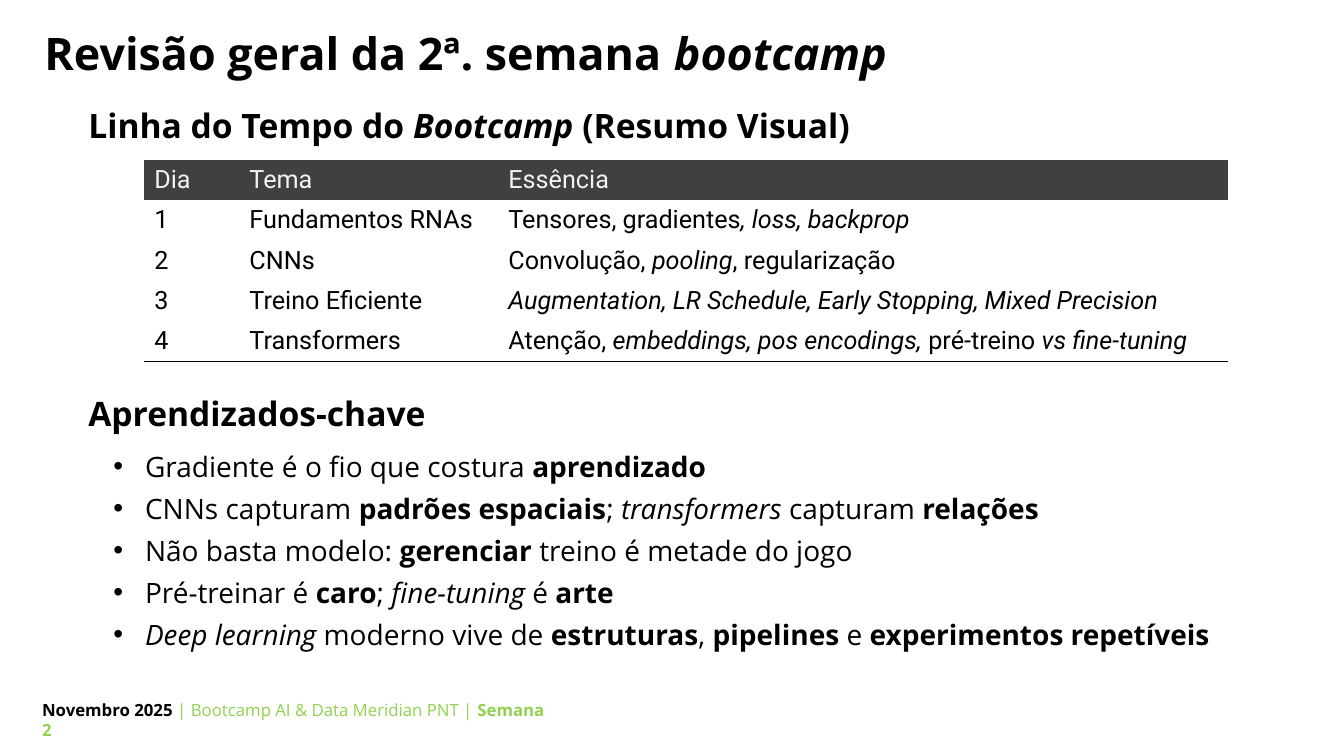
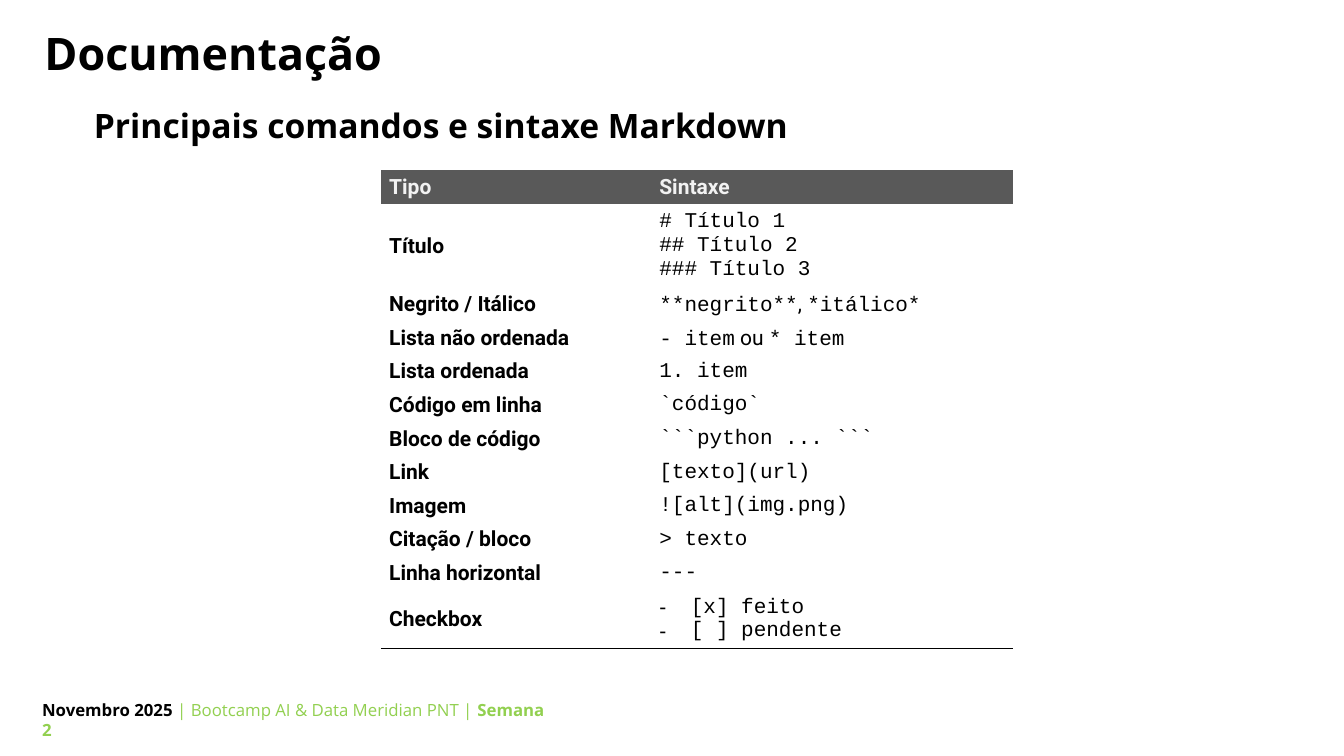
from lxml.etree import SubElement
from pptx import Presentation
from pptx.dml.color import RGBColor
from pptx.enum.text import MSO_ANCHOR, MSO_AUTO_SIZE, PP_ALIGN
from pptx.oxml import parse_xml
from pptx.oxml.ns import nsdecls, qn
from pptx.util import Pt

BLACK = RGBColor(0, 0, 0)
GREEN = RGBColor(0x92, 0xD0, 0x50)
LIGHT = RGBColor(0xF2, 0xF2, 0xF2)
DARK = RGBColor(0x40, 0x40, 0x40)
GREY = RGBColor(0x59, 0x59, 0x59)

SANS, GRID, MONO = "Open Sans", "Roboto", "Courier New"
PLAIN_TABLE = "{2D5ABB26-0587-4C30-8999-92F81FD0307C}"


# Inline styles: a piece of text with its kind
def bold(text):
    return text, "bold"


def ital(text):
    return text, "ital"


def mono(text):
    return text, "mono"


class Deck:
    def __init__(self):
        self.prs = Presentation()
        self.prs.slide_width, self.prs.slide_height = Pt(960), Pt(540)
        self.slide = None

    def put(self, frame, paras, size, font=SANS, color=BLACK, heavy=False):
        """Fill a frame; each paragraph is a list of strings or styled pieces."""
        for n, parts in enumerate(paras):
            para = frame.add_paragraph() if n else frame.paragraphs[0]
            para.alignment = PP_ALIGN.LEFT
            for part in parts:
                text, kind = (part, "") if isinstance(part, str) else part
                run = para.add_run()
                run.text = text
                run.font.name = MONO if kind == "mono" else font
                run.font.size = Pt(size)
                run.font.bold = heavy or kind == "bold"
                run.font.italic = kind == "ital"
                run.font.color.rgb = color

    def page(self, title):
        self.slide = self.prs.slides.add_slide(self.prs.slide_layouts[5])
        shape = self.slide.shapes.title
        shape.left, shape.top, shape.width, shape.height = Pt(24.5), Pt(14.4), Pt(914), Pt(46)
        frame = shape.text_frame
        frame.auto_size = MSO_AUTO_SIZE.NONE
        frame.vertical_anchor = MSO_ANCHOR.TOP
        self.put(frame, [title], 32, heavy=True)
        self.footer()

    def text(self, left, top, width, height, paras, size, heavy=False):
        box = self.slide.shapes.add_textbox(Pt(left), Pt(top), Pt(width), Pt(height))
        box.text_frame.word_wrap = True
        self.put(box.text_frame, paras, size, heavy=heavy)
        return box.text_frame

    def footer(self):
        frame = self.text(23, 496, 381, 36, [[
            bold("Novembro 2025 "), "| Bootcamp AI & Data Meridian PNT | ", bold("Semana 2")]], 12)
        for run in frame.paragraphs[0].runs[1:]:
            run.font.color.rgb = GREEN

    def head(self, left, top, parts):
        self.text(left, top, 900, 36, [parts], 24, heavy=True)

    def bullets(self, frame, mark, after=0):
        for para in frame.paragraphs:
            props = para._p.get_or_add_pPr()
            props.set("marL", str(Pt(22.5)))
            props.set("indent", str(Pt(-22.5)))
            SubElement(props, qn("a:buFont")).set("typeface", "Arial")
            SubElement(props, qn("a:buChar")).set("char", mark)
            para.space_after = Pt(after)

    def table(self, left, top, cols, heights, rows, size, fill, pad):
        """Place a table; each cell is a list of paragraphs."""
        table = self.slide.shapes.add_table(
            len(rows), len(cols), Pt(left), Pt(top), Pt(sum(cols)), Pt(sum(heights))).table
        table.horz_banding = False
        table._tbl.tblPr.find(qn("a:tableStyleId")).text = PLAIN_TABLE
        for col, width in zip(table.columns, cols):
            col.width = Pt(width)
        for r, row in enumerate(rows):
            table.rows[r].height = Pt(heights[r])
            for c, paras in enumerate(row):
                cell = table.cell(r, c)
                cell.vertical_anchor = MSO_ANCHOR.MIDDLE
                cell.margin_left = cell.margin_right = Pt(2 * pad)
                cell.margin_top = cell.margin_bottom = Pt(pad)
                if r == 0:
                    cell.fill.solid()
                    cell.fill.fore_color.rgb = fill
                else:
                    cell.fill.background()
                if r == len(rows) - 1:
                    self.rule(cell)
                self.put(cell.text_frame, paras, size, GRID, BLACK if r else LIGHT)
        return table

    def rule(self, cell):
        """Draw the bottom border of a cell."""
        cell._tc.get_or_add_tcPr().insert(0, parse_xml(
            f'<a:lnB {nsdecls("a")} w="{Pt(1)}"><a:solidFill>'
            f'<a:srgbClr val="{BLACK}"/></a:solidFill></a:lnB>'))


def review(deck):
    deck.page(["Revisão geral da 2ª. semana ", ital("bootcamp")])

    # Timeline table
    deck.head(56, 71.3, ["Linha do Tempo do ", ital("Bootcamp"), " (Resumo Visual)"])
    days = [
        ("Dia", "Tema", ["Essência"]),
        ("1", "Fundamentos RNAs", ["Tensores, gradientes", ital(", loss, backprop")]),
        ("2", "CNNs", ["Convolução, ", ital("pooling"), ", regularização"]),
        ("3", "Treino Eficiente",
         [ital("Augmentation, LR Schedule, Early Stopping, Mixed Precision")]),
        ("4", "Transformers", ["Atenção, ", ital("embeddings, pos encodings, "),
                               "pré-treino ", ital("vs fine-tuning")]),
    ]
    rows = [([[day]], [[theme]], [gist]) for day, theme, gist in days]
    deck.table(103, 114, [68, 185, 521], [28.8] * len(rows), rows, 18, DARK, 3.6)

    # Key lessons
    deck.head(56, 277, ["Aprendizados-chave"])
    frame = deck.text(74, 317.5, 880, 153, [
        ["Gradiente é o fio que costura ", bold("aprendizado")],
        ["CNNs capturam ", bold("padrões espaciais"), "; ", ital("transformers"),
         " capturam ", bold("relações")],
        ["Não basta modelo: ", bold("gerenciar"), " treino é metade do jogo"],
        ["Pré-treinar é ", bold("caro"), "; ", ital("fine-tuning"), " é ", bold("arte")],
        [ital("Deep learning"), " moderno vive de ", bold("estruturas"), ", ",
         bold("pipelines"), " e ", bold("experimentos repetíveis")],
    ], 20)
    deck.bullets(frame, "•", 6)


def syntax(deck):
    deck.page(["Documentação"])
    deck.head(60, 71.3, ["Principais comandos e sintaxe Markdown"])

    # Syntax table: a label and its lines
    kinds = [
        ("Tipo", [[bold("Sintaxe")]]),
        ("Título", [[mono("# Título 1")], [mono("## Título 2")], [mono("### Título 3")]]),
        ("Negrito / Itálico", [[mono("**negrito**"), ", ", mono("*itálico*")]]),
        ("Lista não ordenada", [[mono("- item"), " ou ", mono("* item")]]),
        ("Lista ordenada", [[mono("1. item")]]),
        ("Código em linha", [[mono("`código`")]]),
        ("Bloco de código", [[mono("```python ... ```")]]),
        ("Link", [[mono("[texto](url)")]]),
        ("Imagem", [[mono("![alt](img.png)")]]),
        ("Citação / bloco", [[mono("> texto")]]),
        ("Linha horizontal", [[mono("---")]]),
        ("Checkbox", [[mono("[x] feito")], [mono("[ ] pendente")]]),
    ]
    rows = [([[bold(label)]], lines) for label, lines in kinds]
    heights = [24 + 17.5 * (len(lines) - 1) for _, lines in kinds]
    table = deck.table(272, 121.7, [193, 258.5], heights, rows, 15, GREY, 3)
    deck.bullets(table.cell(len(rows) - 1, 1).text_frame, "-")


def main():
    deck = Deck()
    review(deck)
    syntax(deck)
    deck.prs.save("out.pptx")


if __name__ == "__main__":
    main()
